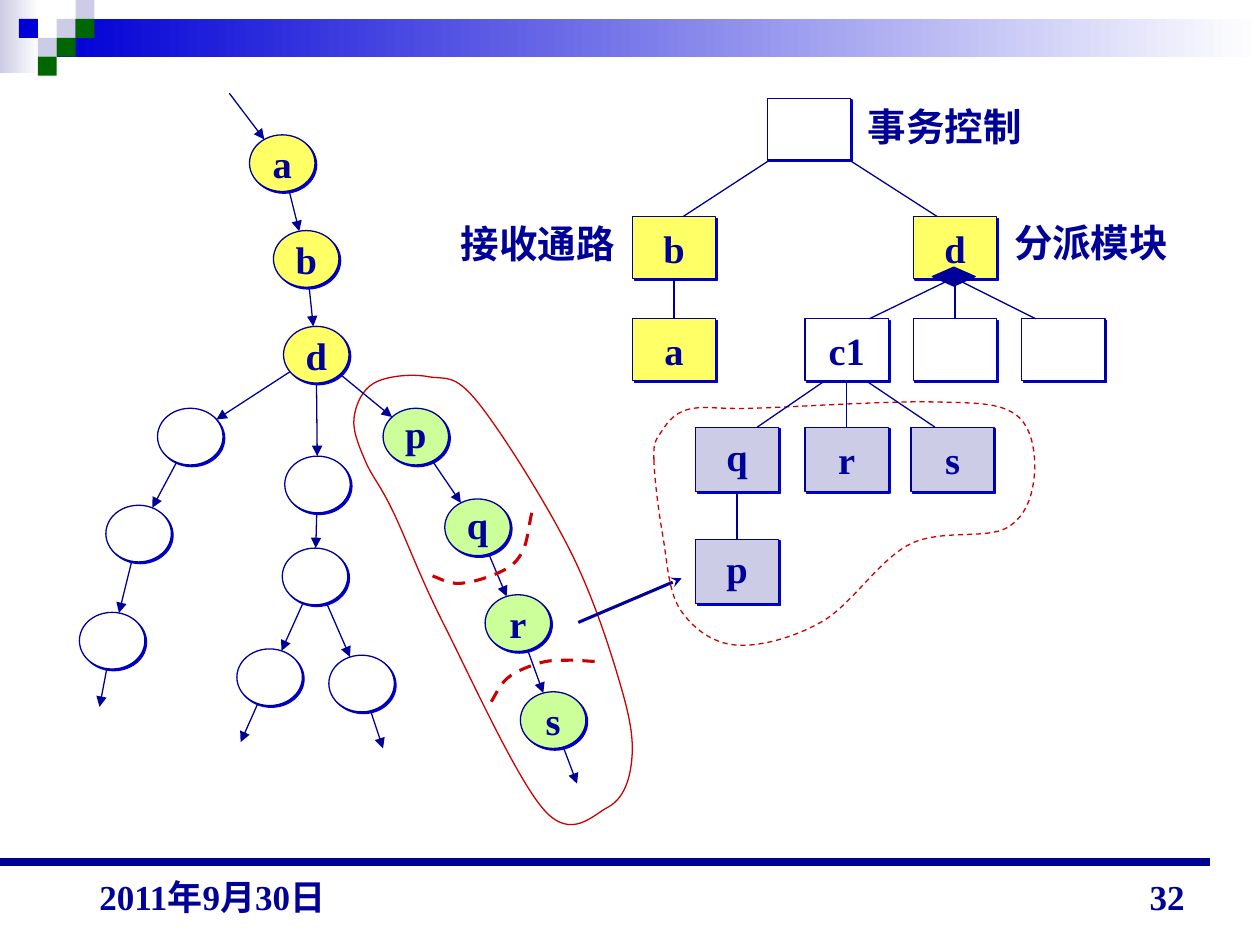
"""Build a slide that maps a transaction flow graph onto a module structure chart."""
import math
import lxml.etree
import pptx
import pptx.dml.color
import pptx.enum.dml
import pptx.enum.shapes
import pptx.enum.text
import pptx.oxml.ns
import pptx.util

Inches = pptx.util.Inches
Pt = pptx.util.Pt
RGBColor = pptx.dml.color.RGBColor
MSO_SHAPE = pptx.enum.shapes.MSO_SHAPE
PP_ALIGN = pptx.enum.text.PP_ALIGN
MSO_ANCHOR = pptx.enum.text.MSO_ANCHOR
qn = pptx.oxml.ns.qn

NAVY = RGBColor(0x00, 0x00, 0x99)
BLUE = RGBColor(0x00, 0x00, 0xD6)
LAVENDER = RGBColor(0xCC, 0xCC, 0xE6)
DARK_GREEN = RGBColor(0x00, 0x66, 0x00)
YELLOW = RGBColor(0xFF, 0xFF, 0x66)
LIME = RGBColor(0xCC, 0xFF, 0x99)
WHITE = RGBColor(0xFF, 0xFF, 0xFF)
RED = RGBColor(0xCC, 0x00, 0x00)
FONT = "Times New Roman"

TILE = 0.15
TILE_CELLS = {
    LAVENDER: [(3, 1), (4, 0), (2, 2)],
    DARK_GREEN: [(4, 1), (3, 2), (2, 3)],
    BLUE: [(1, 1)],
}

NODE_W, NODE_H = 0.52, 0.45
FLOW_NODES = {
    YELLOW: {"a": (1.98, 1.07), "b": (2.17, 1.83), "d": (2.25, 2.59)},
    LIME: {"p": (3.04, 3.24), "q": (3.53, 3.96), "r": (3.85, 4.72), "s": (4.13, 5.49)},
    WHITE: {"left 1": (1.25, 3.24), "left 2": (0.84, 4.01), "left 3": (0.63, 4.86),
            "mid 1": (2.26, 3.62), "mid 2": (2.24, 4.35),
            "mid left": (1.88, 5.15), "mid right": (2.61, 5.2)},
}
OPEN_ENDS = {"entry": (1.82, 0.74), "left exit": (0.79, 5.61), "mid left exit": (1.91, 5.89),
             "mid right exit": (3.04, 5.94), "right exit": (4.58, 6.22)}
FLOW_CHAINS = [
    ["entry", "a", "b", "d", "p", "q", "r", "s", "right exit"],
    ["d", "left 1", "left 2", "left 3", "left exit"],
    ["d", "mid 1", "mid 2", "mid left", "mid left exit"],
    ["mid 2", "mid right", "mid right exit"],
]

BOX_W = 0.66
LEVELS = [
    (0.78, 0.49, {"control": (6.09, WHITE)}),
    (1.72, 0.49, {"b": (5.02, YELLOW), "d": (7.25, YELLOW)}),
    (2.53, 0.49, {"a": (5.02, YELLOW), "c1": (6.39, WHITE),
                  "c2": (7.25, WHITE), "c3": (8.11, WHITE)}),
    (3.39, 0.51, {"q": (5.52, LAVENDER), "r": (6.39, LAVENDER), "s": (7.23, LAVENDER)}),
    (4.28, 0.51, {"p": (5.52, LAVENDER)}),
]
UNLABELLED = {"control", "c2", "c3"}
TIGHT_LINES = {"q", "p"}
VERTICAL_LINKS = [("b", "a"), ("d", "c2"), ("c1", "r"), ("q", "p")]
SLANTED_LINKS = [
    ("control", -0.31, "b", 0.07), ("control", 0.32, "d", -0.14),
    ("d", -0.02, "c1", 0.18), ("d", 0, "c3", -0.22),
    ("c1", -0.17, "q", 0.16), ("c1", 0.15, "s", -0.14),
]
LABELS = {"分派模块": (7.95, 1.69), "事务控制": (6.79, 0.77), "接收通路": (3.56, 1.7)}

MODULE_REGION = [
    (5.19, 3.65), (5.26, 4.25), (5.4, 4.84), (5.84, 5.12), (6.53, 4.93), (7.22, 4.32),
    (7.99, 4.19), (8.21, 3.76), (8.06, 3.29), (7.4, 3.19), (5.99, 3.24), (5.46, 3.25),
    (5.24, 3.44),
]
FLOW_REGION = [
    (3.12, 4.06), (2.9, 3.66), (2.81, 3.32), (2.97, 3.04), (3.4, 2.99), (3.79, 3.19),
    (4.53, 4.38), (4.94, 5.49), (5.01, 6.07), (4.82, 6.41), (4.32, 6.43), (3.53, 4.97),
]
CUT_AFTER_Q = [(4.22, 4.07), (4.15, 4.37), (3.99, 4.53), (3.65, 4.63), (3.4, 4.56)]
CUT_BEFORE_S = [(4.72, 5.25), (4.51, 5.24), (4.29, 5.26), (4.03, 5.38), (3.88, 5.6)]


def add_text(tf, text, size, align=PP_ALIGN.LEFT):
    """Write one bold navy run and return its paragraph."""
    p = tf.paragraphs[0]
    p.alignment = align
    r = p.add_run()
    r.text = text
    r.font.name, r.font.size, r.font.bold = FONT, Pt(size), True
    r.font.color.rgb = NAVY
    return p


def add_block(s, kind, x, y, w, h, color, outlined=False):
    """Add a flat filled shape, with a thin navy outline if asked."""
    sp = s.shapes.add_shape(kind, Inches(x), Inches(y), Inches(w), Inches(h))
    sp.shadow.inherit = False
    sp.fill.solid()
    sp.fill.fore_color.rgb = color
    if outlined:
        sp.line.color.rgb, sp.line.width = NAVY, Pt(0.75)
    else:
        sp.line.fill.background()
    return sp


def add_gradient(s, x, y, w, h, start):
    """Add a block that fades to white from left to right."""
    sp = add_block(s, MSO_SHAPE.RECTANGLE, x, y, w, h, start)
    sp.fill.gradient()
    sp.fill.gradient_angle = 0
    for stop, color in zip(sp.fill.gradient_stops, (start, WHITE)):
        stop.color.rgb = color


def add_node(s, kind, text, x, y, w, h, color):
    """Add an outlined node with a hard blue shadow and a centred label."""
    sp = add_block(s, kind, x, y, w, h, color, outlined=True)
    effects = sp._element.spPr.find(qn("a:effectLst"))
    shadow = lxml.etree.SubElement(effects, qn("a:outerShdw"), dist=str(Pt(1.4)), dir="2700000")
    lxml.etree.SubElement(shadow, qn("a:srgbClr"), val=str(BLUE))
    if text:
        tf = sp.text_frame
        tf.word_wrap, tf.vertical_anchor = False, MSO_ANCHOR.MIDDLE
        p = add_text(tf, text, 22, PP_ALIGN.CENTER)
        if text in TIGHT_LINES:
            p.line_spacing = 0.85
    return sp


def add_line(s, start, end, width=0.75, head=None):
    """Add a straight navy connector, with an arrowhead at its end if named."""
    ends = [Inches(v) for v in (*start, *end)]
    sp = s.shapes.add_connector(pptx.enum.shapes.MSO_CONNECTOR.STRAIGHT, *ends)
    sp.line.color.rgb, sp.line.width = NAVY, Pt(width)
    if head:
        lxml.etree.SubElement(sp._element.spPr.get_or_add_ln(), qn("a:tailEnd"), type=head)
    lxml.etree.SubElement(sp._element.spPr, qn("a:effectLst"))
    return sp


def spline_points(anchors, closed):
    """Return Bezier points through the anchors, each tangent parallel to its neighbours' chord."""
    if closed:
        pts = [anchors[-1], *anchors, *anchors[:2]]
    else:
        before, after = [(2 * ax - bx, 2 * ay - by) for (ax, ay), (bx, by)
                         in (anchors[:2], anchors[:-3:-1])]
        pts = [before, *anchors, after]
    curve = [anchors[0]]
    for (ax, ay), (bx, by), (cx, cy), (dx, dy) in zip(pts, pts[1:], pts[2:], pts[3:]):
        curve += [(bx + (cx - ax) / 6, by + (cy - ay) / 6),
                  (cx - (dx - bx) / 6, cy - (dy - by) / 6), (cx, cy)]
    return curve


def add_curve(s, anchors, width, closed=False, dashed=True):
    """Add a smooth red curve, filled white if closed."""
    pts = [(Inches(x), Inches(y)) for x, y in spline_points(anchors, closed)]
    fb = s.shapes.build_freeform(*pts[0])
    fb.add_line_segments(pts[1:], close=closed)
    sp = fb.convert_to_shape()
    lines = list(sp._element.iter(qn("a:lnTo")))
    for triple in zip(lines[::3], lines[1::3], lines[2::3]):
        bezier = triple[0].makeelement(qn("a:cubicBezTo"))
        triple[0].addprevious(bezier)
        for line in triple:
            bezier.append(line[0])
            line.getparent().remove(line)
    sp.shadow.inherit = False
    sp.fill.background()
    if closed:
        sp.fill.solid()
        sp.fill.fore_color.rgb = WHITE
    sp.line.color.rgb, sp.line.width = RED, Pt(width)
    if dashed:
        sp.line.dash_style = pptx.enum.dml.MSO_LINE.DASH


def add_label(s, text, x, y, w, h):
    """Add an unwrapped chart label."""
    tf = s.shapes.add_textbox(Inches(x), Inches(y), Inches(w), Inches(h)).text_frame
    tf.word_wrap = False
    add_text(tf, text, 22)


def add_footer(s, text, x, align):
    """Add a footer text that stands on the bottom of its box."""
    tf = s.shapes.add_textbox(Inches(x), Inches(6.83), Inches(2.33), Inches(0.5)).text_frame
    tf.word_wrap, tf.vertical_anchor = True, MSO_ANCHOR.BOTTOM
    add_text(tf, text, 20, align)


def rim_point(center, toward):
    """Return where the line from a node's centre toward a point crosses its rim."""
    dx, dy = toward[0] - center[0], toward[1] - center[1]
    scale = 1 / math.hypot(dx / (NODE_W / 2), dy / (NODE_H / 2))
    return center[0] + dx * scale, center[1] + dy * scale


def add_flow_graph(s):
    """Draw the flow arrows from rim to rim, then the nodes."""
    centers = {name: (x + NODE_W / 2, y + NODE_H / 2)
               for group in FLOW_NODES.values() for name, (x, y) in group.items()}
    points = {**centers, **OPEN_ENDS}
    for chain in FLOW_CHAINS:
        for source, target in zip(chain, chain[1:]):
            start, end = points[source], points[target]
            add_line(s, rim_point(start, end) if source in centers else start,
                     rim_point(end, start) if target in centers else end, head="triangle")
    for color, group in FLOW_NODES.items():
        for name, (x, y) in group.items():
            text = "" if color == WHITE else name
            add_node(s, MSO_SHAPE.OVAL, text, x, y, NODE_W, NODE_H, color)


def add_structure_chart(s):
    """Draw the module boxes level by level, then their links and labels."""
    boxes, sides = {}, {}
    for top, height, level in LEVELS:
        for name, (x, color) in level.items():
            text = "" if name in UNLABELLED else name
            boxes[name] = add_node(s, MSO_SHAPE.RECTANGLE, text, x, top, BOX_W, height, color)
            sides[name] = (x + BOX_W / 2, top, top + height)
    for parent, parent_shift, child, child_shift in SLANTED_LINKS:
        parent_x, _, bottom = sides[parent]
        child_x, top, _ = sides[child]
        add_line(s, (parent_x + parent_shift, bottom), (child_x + child_shift, top))
    for parent, child in VERTICAL_LINKS:
        link = add_line(s, (0, 0), (1, 1))
        link.begin_connect(boxes[parent], 2)
        link.end_connect(boxes[child], 0)
    add_block(s, MSO_SHAPE.DIAMOND, 7.4, 2.12, 0.34, 0.15, NAVY, outlined=True)
    for text, (x, y) in LABELS.items():
        add_label(s, text, x, y, 1.42, 0.47)


def add_frame(s):
    """Draw the banner with its tiles, the footer rule and the footer texts."""
    add_gradient(s, 0, 0, 0.31, 0.58, LAVENDER)
    add_gradient(s, 0.45, TILE, 9.55, 2 * TILE, BLUE)
    for color, cells in TILE_CELLS.items():
        for column, row in cells:
            add_block(s, MSO_SHAPE.RECTANGLE, column * TILE, row * TILE, TILE, TILE, color)
    add_line(s, (0, 6.84), (9.6, 6.84), 4.5)
    add_footer(s, "2011年9月30日", 0.69, PP_ALIGN.LEFT)
    add_footer(s, "32", 7.17, PP_ALIGN.RIGHT)


def main():
    """Build and save the slide."""
    prs = pptx.Presentation()
    prs.slide_width, prs.slide_height = Inches(10), Inches(7.5)
    s = prs.slides.add_slide(prs.slide_layouts[6])
    add_frame(s)
    add_curve(s, MODULE_REGION, 0.75, closed=True)
    add_curve(s, FLOW_REGION, 0.75, closed=True, dashed=False)
    add_flow_graph(s)
    add_structure_chart(s)
    for cut in (CUT_AFTER_Q, CUT_BEFORE_S):
        add_curve(s, cut, 1.75)
    add_line(s, (4.59, 4.94), (5.41, 4.59), 1.75, "stealth")
    prs.save("out.pptx")


if __name__ == "__main__":
    main()
